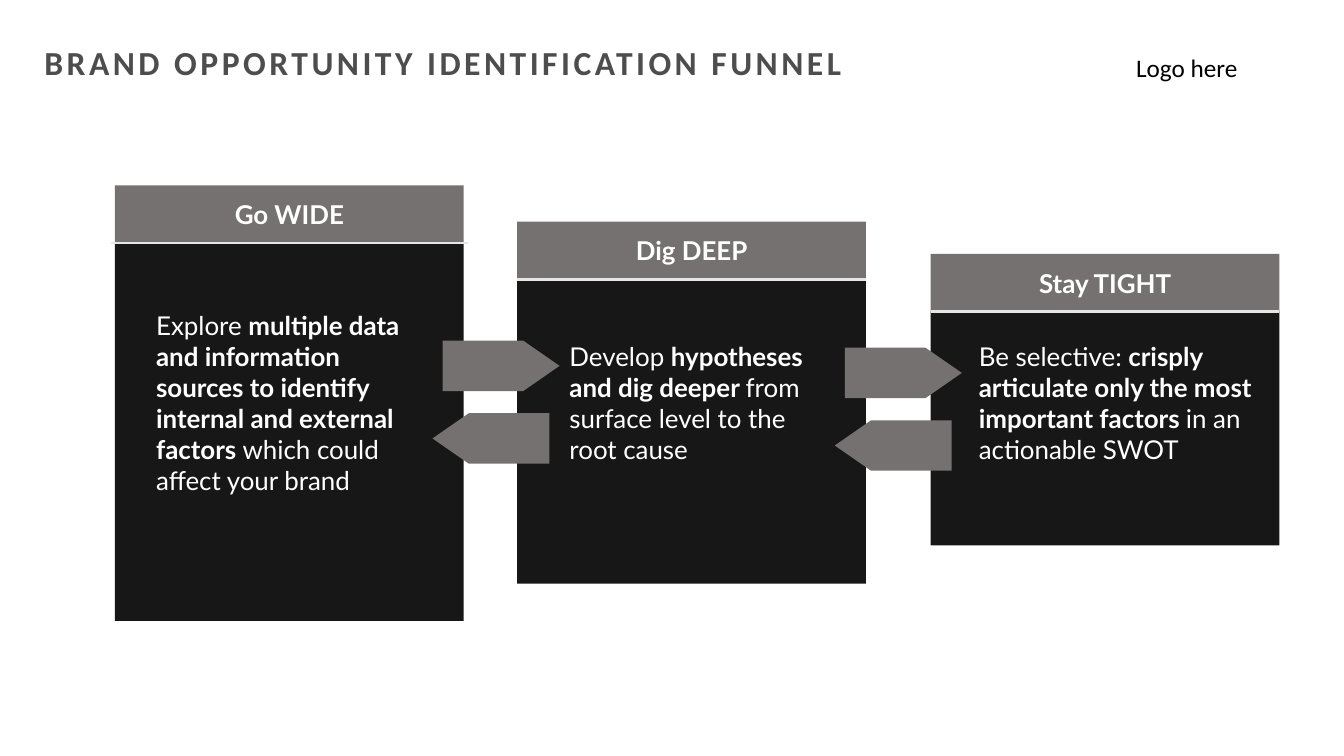
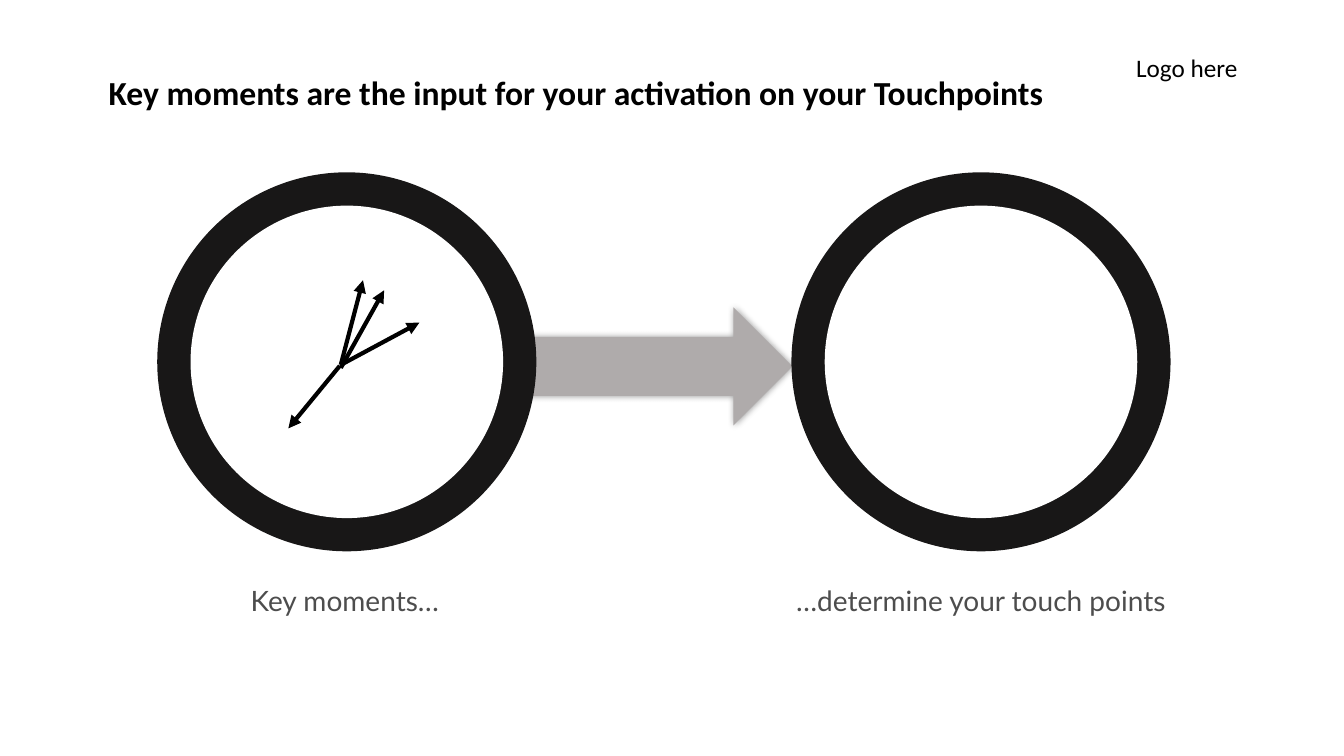
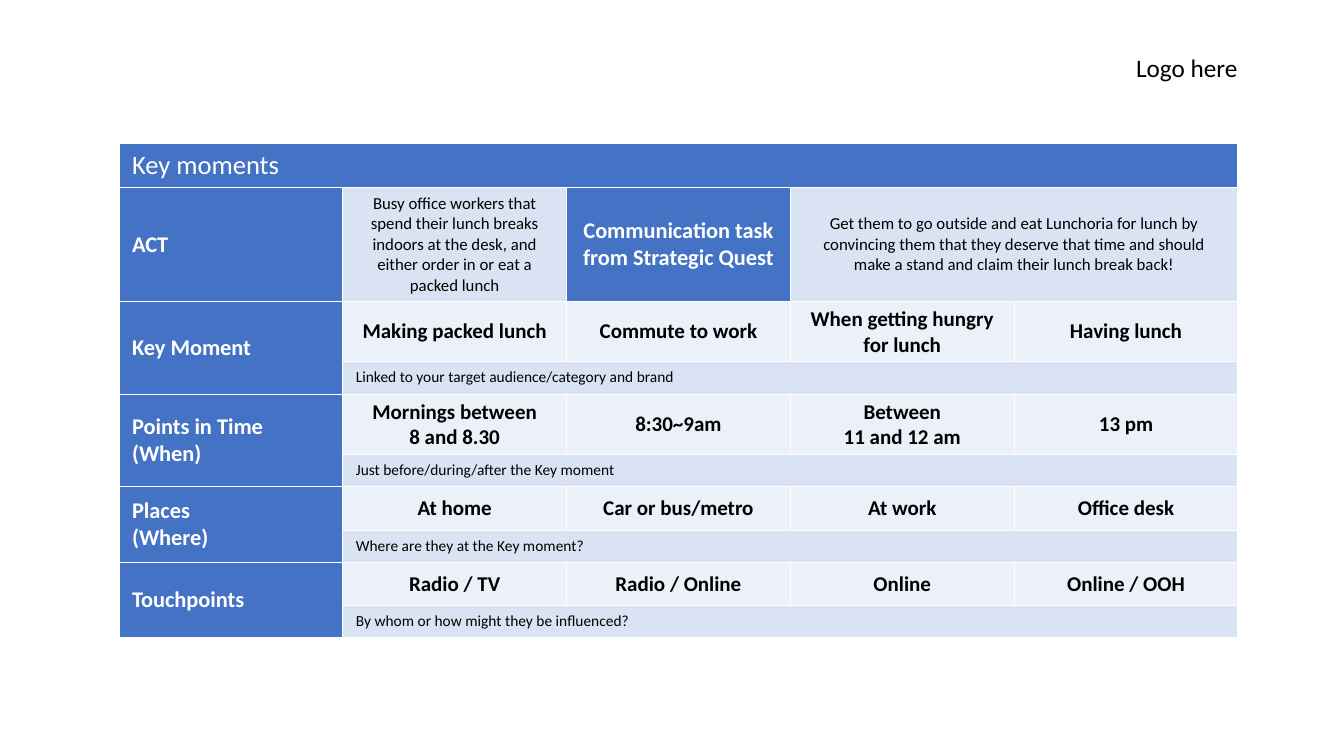
from lxml import etree
from pptx import Presentation
from pptx.dml.color import RGBColor
from pptx.enum.shapes import MSO_CONNECTOR, MSO_SHAPE
from pptx.enum.text import MSO_ANCHOR, PP_ALIGN
from pptx.oxml.ns import qn
from pptx.util import Inches, Pt

LEFT, CENTER = PP_ALIGN.LEFT, PP_ALIGN.CENTER
TOP, MIDDLE = MSO_ANCHOR.TOP, MSO_ANCHOR.MIDDLE
RECT, OVAL = MSO_SHAPE.RECTANGLE, MSO_SHAPE.OVAL
RIGHT_ARROW, LEFT_ARROW = MSO_SHAPE.RIGHT_ARROW, MSO_SHAPE.LEFT_ARROW
STRAIGHT = MSO_CONNECTOR.STRAIGHT

BLACK = RGBColor(0x00, 0x00, 0x00)
WHITE = RGBColor(0xFF, 0xFF, 0xFF)
INK = RGBColor(0x18, 0x17, 0x17)
GREY = RGBColor(0x76, 0x71, 0x71)
DARK_GREY = RGBColor(0x4D, 0x4D, 0x4D)
MID_GREY = RGBColor(0xAF, 0xAB, 0xAB)
PALE_GREY = RGBColor(0xE7, 0xE6, 0xE6)
BLUE = RGBColor(0x44, 0x72, 0xC4)
PALE_BLUE = RGBColor(0xDA, 0xE3, 0xF3)


def font(name, size, color, bold=False):
    return {"name": name, "size": Pt(size), "bold": bold, "color": color}


TITLE = font("Calibri", 24, BLACK, True)
LOGO = font("Calibri", 18, BLACK)
CARD_HEAD = font("Lato", 18.5, WHITE, True)
CARD_BODY = font("Lato", 18.5, WHITE)
CAPTION = font("Lato", 20, DARK_GREY)
TABLE_TITLE = font("Calibri", 19, WHITE)
ROW_LABEL = font("Calibri", 16, WHITE, True)
BRIEF = font("Calibri", 12, BLACK)
ENTRY = font("Calibri", 15, BLACK, True)
HINT = font("Calibri", 11, BLACK)

CARD_W, HEAD_H = 3.46, 0.57
# left, top, bottom, overhang of the rule, heading, text box, text in parts
CARDS = [
    (1.14, 1.84, 6.16, 0.04, "Go WIDE", (1.45, 3.02, 2.84, 1.66),
     ("Explore ",
      "multiple data and information sources to identify internal and external factors ",
      "which could affect your brand")),
    (5.13, 2.2, 5.79, 0, "Dig DEEP", (5.55, 3.33, 2.84, 1.04),
     ("Develop ", "hypotheses and dig deeper ",
      "from surface level to the root cause")),
    (9.23, 2.52, 5.41, 0, "Stay TIGHT", (9.61, 3.33, 3.05, 1.35),
     ("Be selective: ", "crisply articulate only the most important factors ",
      "in an actionable SWOT")),
]
CARD_ARROWS = [(4.39, 3.38), (8.38, 3.45)]

RING_TOP, RING_D, RING_W = 1.71, 3.76, 0.33
RINGS = [(1.56, 0.77, "Key moments…"),
         (7.85, 7.08, "…determine your touch points")]
CLOCK_HANDS = [((3.37, 3.63), (2.86, 4.25)), ((3.38, 3.65), (3.81, 2.88)),
               ((3.38, 3.62), (4.16, 3.2)), ((3.38, 3.62), (3.6, 2.78))]

COL_W, COLS = 2.22, 5
ROW_HEIGHTS = [0.44, 1.13, 0.6, 0.32, 0.6, 0.32, 0.43, 0.32, 0.43, 0.32]
# row label, entries, hint below the entries
MOMENTS = [
    ("Key Moment",
     ["Making packed lunch", "Commute to work", "When getting hungry for lunch", "Having lunch"],
     "Linked to your target audience/category and brand"),
    ("Points in Time\n(When)",
     ["Mornings between\n8 and 8.30", "8:30~9am", "Between\n11 and 12 am", "13 pm"],
     "Just before/during/after the Key moment"),
    ("Places\n(Where)",
     ["At home", "Car or bus/metro", "At work", "Office desk"],
     "Where are they at the Key moment?"),
    ("Touchpoints",
     ["Radio / TV", "Radio / Online", "Online", "Online / OOH"],
     "By whom or how might they be influenced?"),
]


def inches(*lengths):
    return [Inches(v) for v in lengths]


def add_run(p, text, fmt):
    """Add text to a paragraph; a newline becomes a line break."""
    for i, line in enumerate(text.split("\n")):
        if i:
            p.add_line_break()
        r = p.add_run()
        r.text = line
        for key, value in fmt.items():
            if key == "color":
                r.font.color.rgb = value
            else:
                setattr(r.font, key, value)


def add_text(s, box, parts, align=LEFT, anchor=TOP, inset=(0.1, 0.05)):
    """Add a one-paragraph text box from (text, format) parts."""
    tf = s.shapes.add_textbox(*inches(*box)).text_frame
    tf.word_wrap = True
    tf.vertical_anchor = anchor
    tf.margin_left = tf.margin_right = Inches(inset[0])
    tf.margin_top = tf.margin_bottom = Inches(inset[1])
    p = tf.paragraphs[0]
    p.alignment = align
    for text, fmt in parts:
        add_run(p, text, fmt)
    return p


def add_shape(s, kind, box, color, adjustments=()):
    sp = s.shapes.add_shape(kind, *inches(*box))
    sp.shadow.inherit = False
    sp.fill.solid()
    sp.fill.fore_color.rgb = color
    sp.line.fill.background()
    for i, value in enumerate(adjustments):
        sp.adjustments[i] = value
    return sp


def add_line(s, start, end, color, width, arrow=False):
    line = s.shapes.add_connector(STRAIGHT, *inches(*start, *end))
    line.line.color.rgb = color
    line.line.width = Pt(width)
    if arrow:
        etree.SubElement(line.line._get_or_add_ln(), qn("a:tailEnd"), type="triangle")
    etree.SubElement(line._element.spPr, qn("a:effectLst"))


def add_glow_shadow(sp):
    effects = sp._element.spPr.find(qn("a:effectLst"))
    shadow = etree.SubElement(effects, qn("a:outerShdw"), blurRad=str(Pt(5)), dist="0", dir="0")
    color = etree.SubElement(shadow, qn("a:srgbClr"), val=str(BLACK))
    etree.SubElement(color, qn("a:alpha"), val="40000")


def new_slide(prs):
    s = prs.slides.add_slide(prs.slide_layouts[6])
    add_text(s, (11.17, 0.47, 2, 0.4), [("Logo here", LOGO)])
    return s


def funnel_slide(prs):
    s = new_slide(prs)
    p = add_text(s, (0.44, 0.42, 10, 0.4),
                 [("BRAND OPPORTUNITY IDENTIFICATION FUNNEL", {**TITLE, "color": DARK_GREY})],
                 inset=(0, 0))
    p.runs[0].font._element.set("spc", "250")

    for left, top, bottom, overhang, heading, _, _ in CARDS:
        rule_y = top + HEAD_H
        add_shape(s, RECT, (left, rule_y, CARD_W, bottom - rule_y), INK)
        head = add_shape(s, RECT, (left, top, CARD_W, HEAD_H), GREY)
        head.text_frame.vertical_anchor = MIDDLE
        p = head.text_frame.paragraphs[0]
        p.alignment = CENTER
        add_run(p, heading, CARD_HEAD)
        add_line(s, (left - overhang, rule_y), (left + CARD_W + overhang, rule_y), PALE_GREY, 2)

    for x, y in CARD_ARROWS:
        for kind, dx, dy in ((RIGHT_ARROW, 0, 0), (LEFT_ARROW, -0.1, 0.72)):
            add_shape(s, kind, (x + dx, y + dy, 1.16, 0.5), GREY, (1, 0.72))

    for *_, box, (lead, strong, rest) in CARDS:
        add_text(s, box, [(lead, CARD_BODY), (strong, CARD_HEAD), (rest, CARD_BODY)])


def touchpoints_slide(prs):
    s = new_slide(prs)
    p = add_text(s, (0.98, 0.43, 12.35, 1.01),
                 [("Key moments are the input for your activation on your Touchpoints", TITLE)],
                 anchor=MIDDLE)
    p.line_spacing = 0.9

    add_glow_shadow(add_shape(s, RIGHT_ARROW, (5.16, 3.05, 2.7, 1.17), MID_GREY))
    hole = RING_D - 2 * RING_W
    for x, caption_x, caption in RINGS:
        add_shape(s, OVAL, (x, RING_TOP, RING_D, RING_D), INK)
        add_shape(s, OVAL, (x + RING_W, RING_TOP + RING_W, hole, hole), WHITE)
        add_text(s, (caption_x, 5.72, 5.3, 0.47), [(caption, CAPTION)],
                 align=CENTER, inset=(0.13, 0.07))
    for start, end in CLOCK_HANDS:
        add_line(s, start, end, BLACK, 3, arrow=True)


def style_cell(cell, color, alpha=None):
    """Give a cell white borders and a fill, with alpha in percent."""
    tcPr = cell._tc.get_or_add_tcPr()
    for side in ("lnL", "lnR", "lnT", "lnB"):
        ln = etree.SubElement(tcPr, qn(f"a:{side}"), w=str(Pt(1)))
        fill = etree.SubElement(ln, qn("a:solidFill"))
        etree.SubElement(fill, qn("a:srgbClr"), val=str(WHITE))
    cell.fill.solid()
    cell.fill.fore_color.rgb = color
    if alpha:
        clr = tcPr.find(qn("a:solidFill")).find(qn("a:srgbClr"))
        etree.SubElement(clr, qn("a:alpha"), val=str(alpha * 1000))


def fill_cell(table, row, col, text, fmt, color, align=LEFT, anchor=MIDDLE,
              span=(1, 1), pad=0.06, alpha=None):
    rows, cols = span
    for r in range(row, row + rows):
        for c in range(col, col + cols):
            style_cell(table.cell(r, c), color, alpha)
    cell = table.cell(row, col)
    if span != (1, 1):
        cell.merge(table.cell(row + rows - 1, col + cols - 1))
    cell.vertical_anchor = anchor
    cell.margin_left = cell.margin_right = Inches(0.13)
    cell.margin_top = cell.margin_bottom = Inches(pad)
    p = cell.text_frame.paragraphs[0]
    p.alignment = align
    add_run(p, text, fmt)


def moments_slide(prs):
    s = new_slide(prs)
    frame = s.shapes.add_table(len(ROW_HEIGHTS), COLS,
                               *inches(1.18, 1.42, COL_W * COLS, sum(ROW_HEIGHTS)))
    table = frame.table
    table.first_row = table.horz_banding = False
    for column in table.columns:
        column.width = Inches(COL_W)
    for row, height in zip(table.rows, ROW_HEIGHTS):
        row.height = Inches(height)

    fill_cell(table, 0, 0, "Key moments", TABLE_TITLE, BLUE, anchor=TOP, span=(1, COLS))
    fill_cell(table, 1, 0, "ACT", ROW_LABEL, BLUE)
    fill_cell(table, 1, 1, "Busy office workers that spend their lunch breaks indoors at the desk, "
              "and either order in or eat a packed lunch", BRIEF, PALE_BLUE, CENTER)
    fill_cell(table, 1, 2, "Communication task from Strategic Quest", ROW_LABEL, BLUE, CENTER)
    fill_cell(table, 1, 3, "Get them to go outside and eat Lunchoria for lunch by convincing them "
              "that they deserve that time and should make a stand and claim their lunch break back!",
              BRIEF, PALE_BLUE, CENTER, span=(1, 2))

    for i, (label, entries, hint) in enumerate(MOMENTS):
        row = 2 + 2 * i
        fill_cell(table, row, 0, label, ROW_LABEL, BLUE, span=(2, 1))
        for col, entry in enumerate(entries, start=1):
            fill_cell(table, row, col, entry, ENTRY, PALE_BLUE, CENTER, pad=0.05, alpha=50)
        fill_cell(table, row + 1, 1, hint, HINT, PALE_BLUE, anchor=TOP, span=(1, COLS - 1))


def main():
    prs = Presentation()
    prs.slide_width, prs.slide_height = inches(13.33, 7.5)
    funnel_slide(prs)
    touchpoints_slide(prs)
    moments_slide(prs)
    prs.save("out.pptx")


if __name__ == "__main__":
    main()
